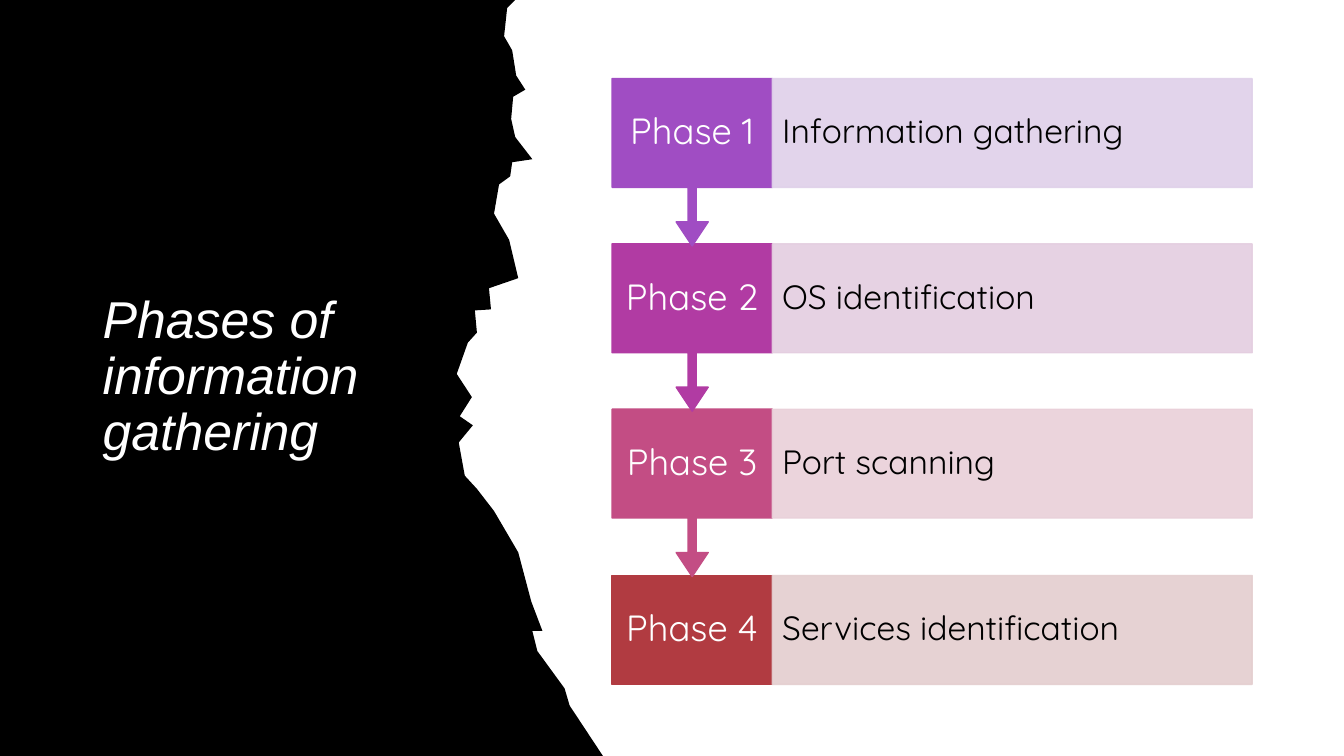
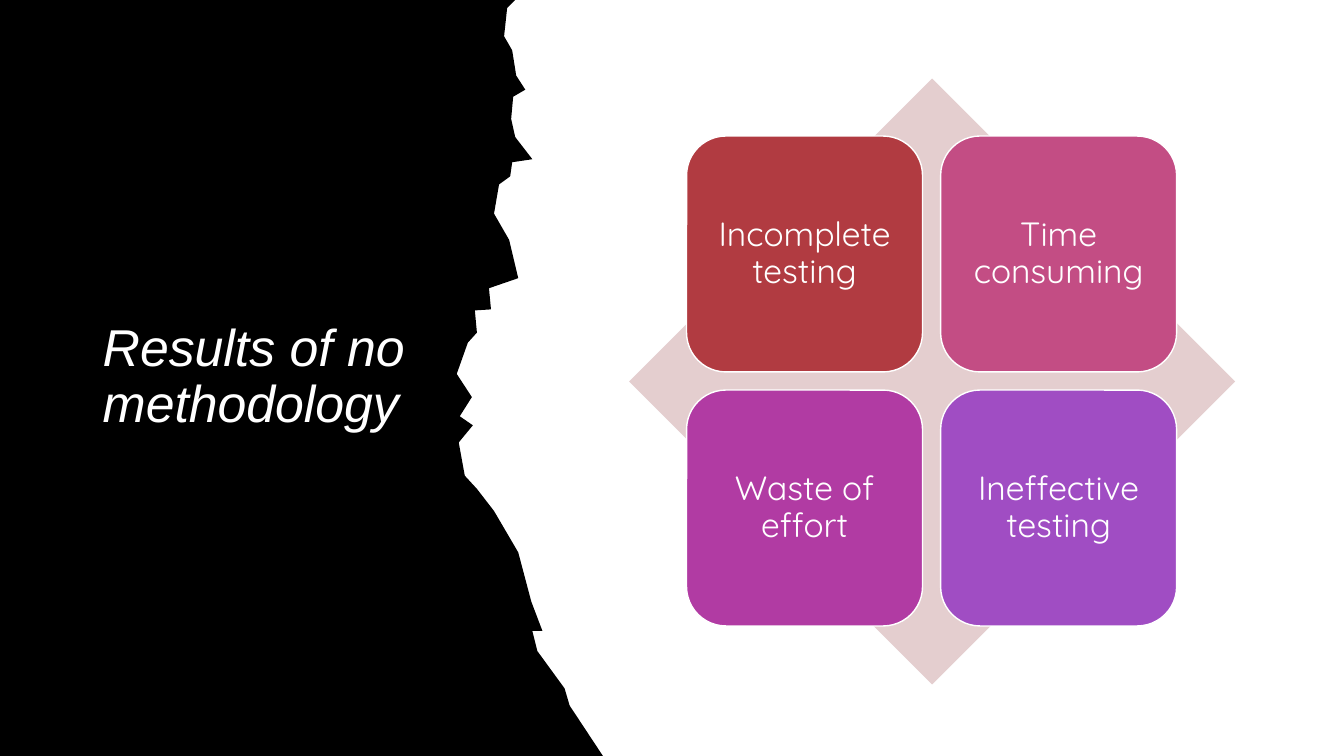
from pptx import Presentation
from pptx.dml.color import RGBColor
from pptx.enum.shapes import MSO_SHAPE as Kind
from pptx.enum.text import MSO_ANCHOR as Anchor, PP_ALIGN as Align
from pptx.oxml.ns import qn
from pptx.oxml.xmlchemy import OxmlElement as Node
from pptx.util import Pt

SCALE = 9144  # EMU in one px, 100 px to the inch
WIDE, HIGH = 1333, 750

COLORS = {
    "black": "000000", "white": "FFFFFF",
    "purple": "A04DC3", "magenta": "B13BA3", "pink": "C34D84", "red": "B13B41",
    "pale purple": "DFD0E9", "pale magenta": "E4CEE0",
    "pale pink": "E9D0D9", "pale red": "E4CECF",
}

FONTS = {
    "title": {"name": "Arial", "size": Pt(37), "italic": True},
    "phase": {"name": "Quicksand", "size": Pt(26)},
    "body": {"name": "Quicksand", "size": Pt(24)},
}

# Torn edge from top to bottom
EDGE = [
    (511, 0), (503, 8), (500, 36), (508, 50), (512, 75), (521, 89),
    (509, 96), (507, 118), (511, 136), (528, 158), (508, 161), (506, 175),
    (495, 183), (490, 212), (505, 238), (514, 276), (485, 286), (487, 307),
    (471, 308), (473, 330), (464, 340), (453, 371), (468, 394), (456, 413),
    (469, 422), (455, 439), (461, 472), (473, 485), (490, 507), (514, 548),
    (527, 597), (538, 626), (528, 626), (533, 646), (560, 683), (565, 700),
    (598, 750),
]


def px(num):
    return round(num * SCALE)


def rgb(name):
    return RGBColor.from_string(COLORS[name])


def apply(obj, vals):
    for key, val in vals.items():
        setattr(obj, key, val)


class Deck:
    def __init__(self):
        self.prs = Presentation()
        apply(self.prs, {"slide_width": px(WIDE), "slide_height": px(HIGH)})
        self.slide = None

    def page(self, title):
        """Start a slide with the torn black side and its title."""
        self.slide = self.prs.slides.add_slide(self.prs.slide_layouts[6])
        self.torn()
        box = self.slide.shapes.add_textbox(*map(px, (92, 78, 350, 594)))
        self.text(box, title, "title", pad=(10, 5))

    def torn(self):
        pen = self.slide.shapes.build_freeform(0, 0, scale=SCALE)
        pen.add_line_segments(EDGE + [(0, HIGH)], close=True)
        self.paint(pen.convert_to_shape(), "black")

    def paint(self, shape, fill, line=None, alpha=None):
        shape.shadow.inherit = False
        shape.fill.solid()
        shape.fill.fore_color.rgb = rgb(fill)
        if line:
            shape.line.color.rgb = rgb(line)
            shape.line.width = Pt(1)
        else:
            shape.line.fill.background()
        if alpha:
            for tint in shape._element.spPr.iter(qn("a:srgbClr")):
                node = Node("a:alpha")
                node.set("val", str(alpha * 1000))
                tint.append(node)

    def shape(self, kind, at, fill, line=None, alpha=None, adj=()):
        shape = self.slide.shapes.add_shape(kind, *map(px, at))
        for i, val in enumerate(adj):
            shape.adjustments[i] = val
        self.paint(shape, fill, line, alpha)
        return shape

    def text(self, shape, words, font, color="white", align=Align.LEFT, pad=(10, 10)):
        side, top = map(px, pad)
        frame = shape.text_frame
        apply(frame, {
            "word_wrap": True, "vertical_anchor": Anchor.MIDDLE,
            "margin_left": side, "margin_right": side,
            "margin_top": top, "margin_bottom": top,
        })
        para = frame.paragraphs[0]
        apply(para, {"alignment": align, "line_spacing": 0.9})
        run = para.add_run()
        run.text = words
        apply(run.font, FONTS[font])
        run.font.color.rgb = rgb(color)

    def phase(self, num, words, color, last):
        """One row: a numbered box, with an arrow down unless last, and a bar."""
        top = 78 + (num - 1) * 493 // 3
        if last:
            box = self.shape(Kind.RECTANGLE, (607, top, 159, 108), color, color)
        else:
            box = self.shape(Kind.DOWN_ARROW_CALLOUT, (607, top, 159, 166),
                             color, color, adj=(0.05, 0.1, 0.15, 0.65))
        self.text(box, f"Phase {num}", "phase", align=Align.CENTER, pad=(11, 20))
        pale = "pale " + color
        bar = self.shape(Kind.RECTANGLE, (766, top, 476, 108), pale, pale, 90)
        self.text(bar, words, "body", "black", pad=(10, 33))

    def tile(self, spot, words, color):
        row, col = divmod(spot, 2)
        at = 681 + col * 252, 135 + row * 252, 234, 234
        tile = self.shape(Kind.ROUNDED_RECTANGLE, at, color, "white")
        self.text(tile, words, "body", align=Align.CENTER)


def main():
    deck = Deck()

    # Phases, from the last up so that each arrow lies over the next box
    deck.page("Phases of information gathering")
    phases = [
        ("Information gathering", "purple"),
        ("OS identification", "magenta"),
        ("Port scanning", "pink"),
        ("Services identification", "red"),
    ]
    for num in range(len(phases), 0, -1):
        deck.phase(num, *phases[num - 1], last=num == len(phases))

    # Results, four tiles on a diamond
    deck.page("Results of no methodology")
    deck.shape(Kind.DIAMOND, (624, 78, 601, 601), "pale red")
    tiles = [
        ("Incomplete testing", "red"),
        ("Time consuming", "pink"),
        ("Waste of effort", "magenta"),
        ("Ineffective testing", "purple"),
    ]
    for spot, (words, color) in enumerate(tiles):
        deck.tile(spot, words, color)

    deck.prs.save("out.pptx")


if __name__ == "__main__":
    main()
